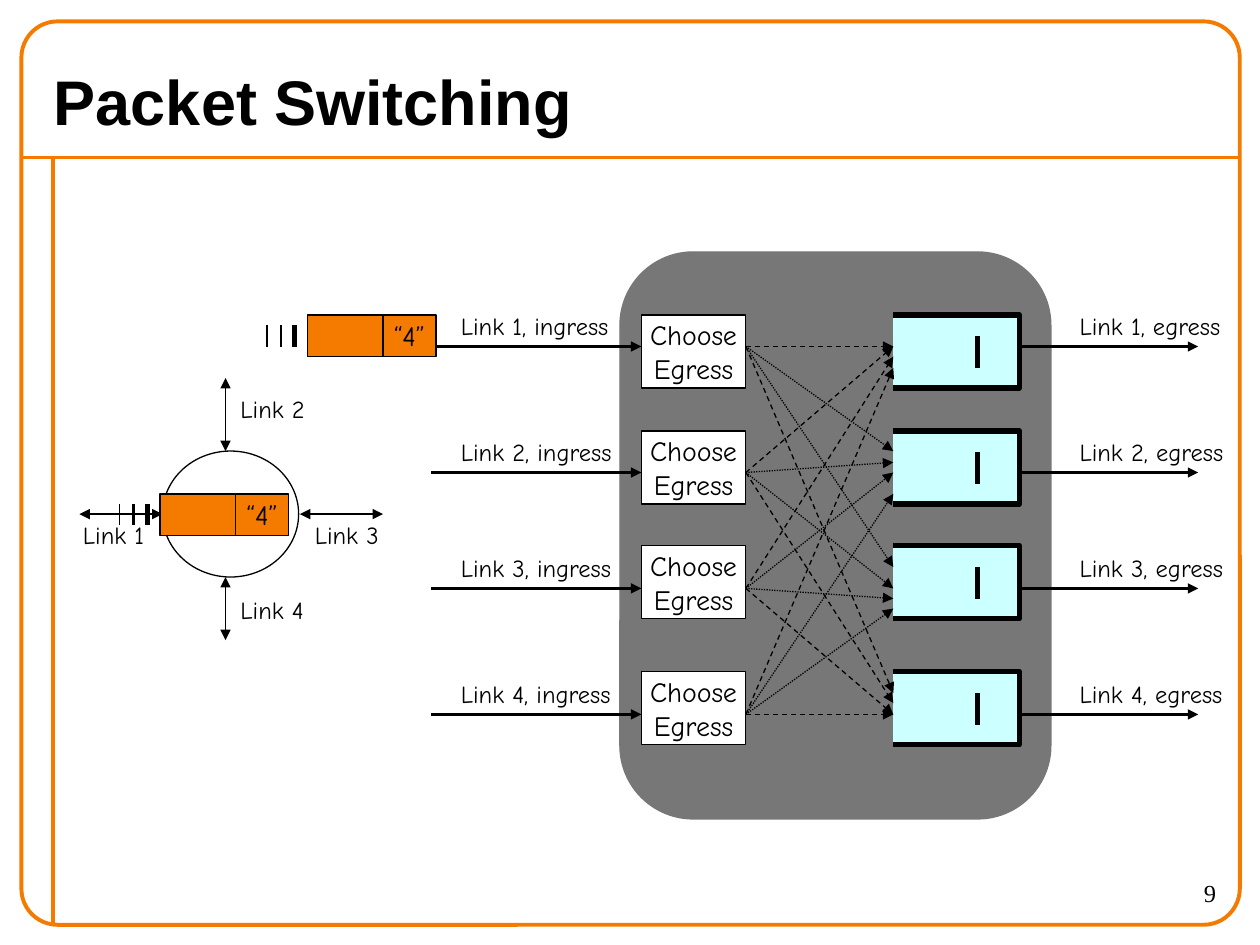
from lxml import etree
from pptx import Presentation
from pptx import util as u
from pptx.dml.color import RGBColor
from pptx.enum import dml, shapes, text
from pptx.oxml import ns

ORANGE = RGBColor(0xF4, 0x7A, 0x00)
BLACK = RGBColor(0, 0, 0)
WHITE = RGBColor(0xFF, 0xFF, 0xFF)
GREY = RGBColor(0x77, 0x77, 0x77)
CYAN = RGBColor(0xCC, 0xFF, 0xFF)
HAND = "Comic Neue"
SHAPE = shapes.MSO_SHAPE
DASH = dml.MSO_LINE.DASH
DOT = dml.MSO_LINE.ROUND_DOT

# Offsets from the top of the switch
BOX_TOPS = (0.5, 1.42, 2.33, 3.33)
LINK_LEVELS = (0.75, 1.75, 2.67, 3.67)
# For each queue: arrow style and where the arrows from inputs 1 to 4 land
LANDINGS = (
    (DASH, (0.75, 0.75, 0.83, 0.92)),
    (DOT, (1.58, 1.67, 1.75, 1.92)),
    (DOT, (2.5, 2.67, 2.75, 2.83)),
    (DASH, (3.5, 3.58, 3.67, 3.67)),
)


def write(shape, words, size=14, font=HAND, bold=False, align=text.PP_ALIGN.LEFT,
          anchor=text.MSO_ANCHOR.TOP, wrap=False):
    frame = shape.text_frame
    frame.word_wrap = wrap
    frame.vertical_anchor = anchor
    for index, line in enumerate(words.split("\n")):
        para = frame.paragraphs[0] if index == 0 else frame.add_paragraph()
        para.alignment = align
        span = para.add_run()
        span.text = line
        span.font.size = u.Pt(size)
        span.font.name = font
        span.font.bold = bold
        span.font.color.rgb = BLACK


def add_label(page, left, top, width, words, height=0.34, **style):
    box = page.shapes.add_textbox(*map(u.Inches, (left, top, width, height)))
    write(box, words, **style)


def paint(shape, fill, line, weight):
    shape.shadow.inherit = False
    if fill is None:
        shape.fill.background()
    else:
        shape.fill.solid()
        shape.fill.fore_color.rgb = fill
    shape.line.color.rgb = line
    shape.line.width = u.Pt(weight)


def add_box(page, kind, left, top, width, height, fill, line=BLACK, weight=0.75, words=None):
    shape = page.shapes.add_shape(kind, *map(u.Inches, (left, top, width, height)))
    paint(shape, fill, line, weight)
    if words:
        write(shape, words, size=16, align=text.PP_ALIGN.CENTER,
              anchor=text.MSO_ANCHOR.MIDDLE)
    return shape


def add_line(page, x1, y1, x2, y2, weight=0.75, color=BLACK, dash=None, ends=()):
    """Draw a line; ends may name headEnd and tailEnd for arrowheads."""
    line = page.shapes.add_connector(
        shapes.MSO_CONNECTOR.STRAIGHT, *map(u.Inches, (x1, y1, x2, y2)))
    line.line.color.rgb = color
    line.line.width = u.Pt(weight)
    if dash is not None:
        line.line.dash_style = dash
    outline = line._element.spPr.find(ns.qn("a:ln"))
    for end in ends:
        etree.SubElement(outline, ns.qn(f"a:{end}"), type="triangle")
    etree.SubElement(line._element.spPr, ns.qn("a:effectLst"))


def add_frame(page, left, top, width, height):
    right, bottom, rule = left + width, top + height, top + 1.08
    add_line(page, left, rule, right, rule, 2.25, ORANGE)
    add_line(page, left + 0.25, rule, left + 0.25, bottom, 2.25, ORANGE)
    border = add_box(page, SHAPE.ROUNDED_RECTANGLE, left, top, width, height,
                     None, ORANGE, 2.25)
    border.adjustments[0] = 0.04
    add_label(page, left + 0.16, top + 0.25, 8.82, "Packet Switching", height=0.75,
              size=36, font="Arial", bold=True, anchor=text.MSO_ANCHOR.MIDDLE, wrap=True)
    add_label(page, right - 1.09, bottom - 0.42, 1, "9", height=0.42,
              font="Times New Roman", align=text.PP_ALIGN.RIGHT, wrap=True)


def add_router(page, left, top):
    """Circle with four two-way links, inside a box 2.41 wide and 2.08 high."""
    add_box(page, SHAPE.OVAL, left + 0.66, top + 0.58, 1.08, 1, WHITE)
    links = (
        ((0, 1.08, 0.66, 1.08), (-0.07, 1.08)),
        ((1.16, 0, 1.16, 0.58), (1.18, 0.08)),
        ((1.75, 1.08, 2.41, 1.08), (1.77, 1.08)),
        ((1.16, 1.58, 1.16, 2.08), (1.18, 1.67)),
    )
    for number, ((x1, y1, x2, y2), (x, y)) in enumerate(links, 1):
        add_line(page, left + x1, top + y1, left + x2, top + y2,
                 ends=("headEnd", "tailEnd"))
        add_label(page, left + x, top + y, 0.75, f"Link {number}")


def add_packet(page, left, top):
    """Moving packet: three speed lines, a body and an address header."""
    for x, weight in ((0, 0.75), (0.11, 1.5), (0.22, 3)):
        add_line(page, left + x, top + 0.08, left + x, top + 0.25, weight)
    add_box(page, SHAPE.RECTANGLE, left + 0.32, top, 0.6, 0.33, ORANGE)
    add_box(page, SHAPE.RECTANGLE, left + 0.92, top, 0.42, 0.33, ORANGE, words="“4”")


def add_queue(page, left, top, width=1, height=0.58):
    """Buffer open on its left side, with one divider."""
    right, bottom = left + width, top + height
    corners = [(u.Inches(x), u.Inches(y)) for x, y in
               ((left, top), (right, top), (right, bottom), (left, bottom))]
    builder = page.shapes.build_freeform(*corners[0])
    builder.add_line_segments(corners[1:], close=False)
    paint(builder.convert_to_shape(), CYAN, BLACK, 3)
    add_line(page, left + 0.67, top + 0.17, left + 0.67, top + 0.42, 3)


def add_switch(page, left, top, width, height):
    body = add_box(page, SHAPE.ROUNDED_RECTANGLE, left, top, width, height, GREY, GREY)
    body.adjustments[0] = 0.17
    chooser, chooser_width, queue = left + 0.17, 0.83, left + 2.17
    links = (("ingress", chooser - 1.67, chooser - 1.53, 1.47),
             ("egress", queue + 0.75, queue + 1.38, 1.4))
    for number, level in enumerate(LINK_LEVELS, 1):
        y = top + level
        for side, start, label, label_width in links:
            add_line(page, start, y, start + 1.67, y, 1.5, ends=("tailEnd",))
            add_label(page, label, y - 0.33, label_width, f"Link {number}, {side}")
    for offset in BOX_TOPS:
        add_queue(page, queue, top + offset)
    for dash, landings in LANDINGS:
        for level, landing in zip(LINK_LEVELS, landings):
            add_line(page, chooser + chooser_width, top + level, queue, top + landing,
                     dash=dash, ends=("tailEnd",))
    for offset in BOX_TOPS:
        add_box(page, SHAPE.RECTANGLE, chooser, top + offset, chooser_width, 0.58,
                WHITE, words="Choose\nEgress")


def main():
    deck = Presentation()
    deck.slide_width, deck.slide_height = u.Inches(10), u.Inches(7.5)
    page = deck.slides.add_slide(deck.slide_layouts[6])
    add_frame(page, 0.17, 0.17, 9.67, 7.17)
    add_router(page, 0.63, 3)
    add_switch(page, 4.92, 2, 3.42, 4.5)
    add_packet(page, 0.95, 3.92)
    add_packet(page, 2.12, 2.5)
    deck.save("out.pptx")


if __name__ == "__main__":
    main()
